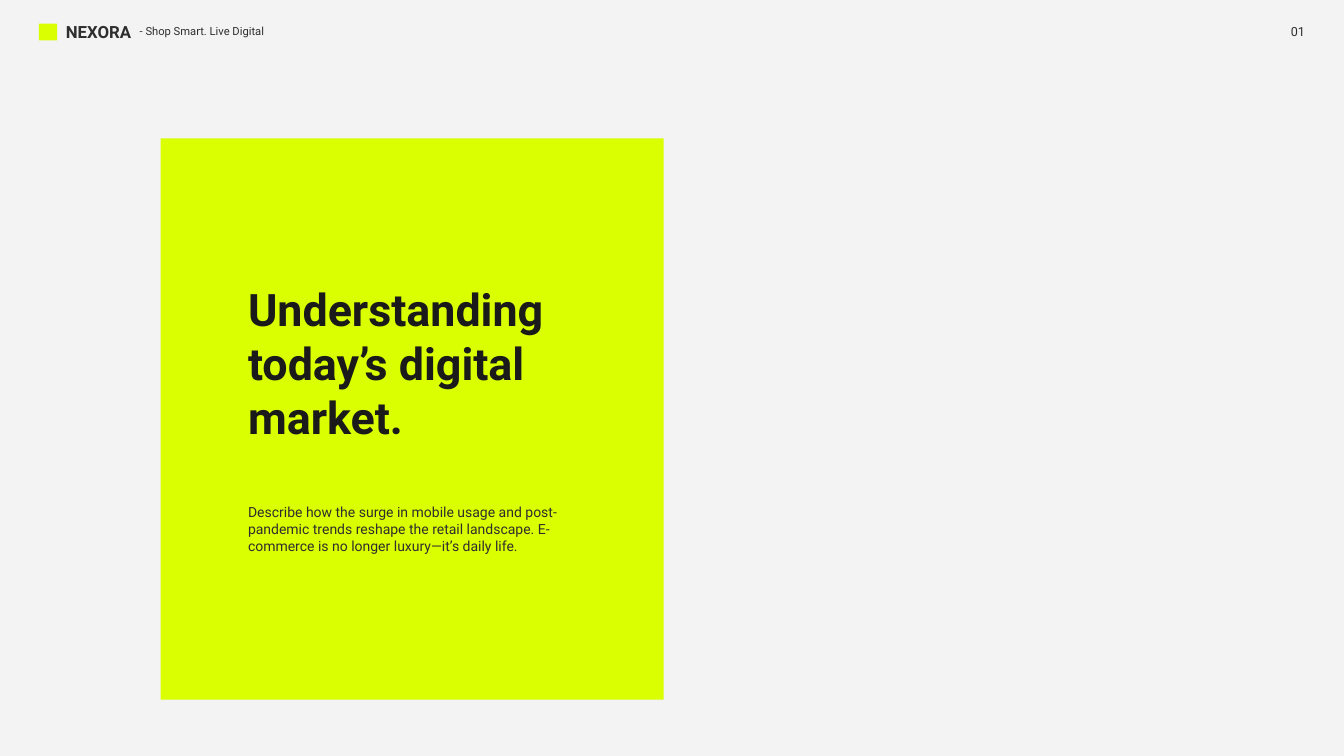
from pptx import Presentation
from pptx.dml.color import RGBColor
from pptx.enum.shapes import MSO_SHAPE
from pptx.enum.text import MSO_ANCHOR, MSO_AUTO_SIZE, PP_ALIGN
from pptx.util import Cm, Pt

RECTANGLE = MSO_SHAPE.RECTANGLE
TOP = MSO_ANCHOR.TOP
NO_AUTOFIT = MSO_AUTO_SIZE.NONE
LEFT = PP_ALIGN.LEFT

FONT = "Roboto"
COLORS = {"background": "F3F3F3", "lime": "D9FF00", "title": "1A1A1A", "text": "2E2E2E"}

# Content
TITLE = ["Understanding", "today’s digital", "market."]
DESCRIPTION = [
    "Describe how the surge in mobile usage and post-",
    "pandemic trends reshape the retail landscape. E-",
    "commerce is no longer luxury—it’s daily life.",
]

# Boxes in cm: left, top, width, height
CARD = (6.07, 5.23, 19.02, 21.22)
LOGO_MARK = (1.47, 0.89, 0.69, 0.64)
TITLE_BOX = (9.12, 10.54, 14.07, 6.4)
DESCRIPTION_BOX = (9.12, 18.92, 13.97, 2.18)

# Header texts: text, box, size, bold
HEADER = [
    ("NEXORA", (2.24, 0.69, 3.18, 1.04), 18, True),
    ("- Shop Smart. Live Digital", (5.03, 0.81, 5.49, 0.79), 12, False),
    ("01", (48.54, 0.79, 1.04, 0.86), 13.5, False),
]


def color(name):
    return RGBColor.from_string(COLORS[name])


def add_block(slide, box):
    shape = slide.shapes.add_shape(RECTANGLE, *map(Cm, box))
    shape.shadow.inherit = False
    shape.fill.solid()
    shape.fill.fore_color.rgb = color("lime")
    shape.line.fill.background()
    return shape


def write(shape, lines, size, bold=False, color_name="text", wrap=True):
    text_frame = shape.text_frame
    text_frame.text = "\n".join(lines)
    text_frame.word_wrap = wrap
    text_frame.auto_size = NO_AUTOFIT
    text_frame.vertical_anchor = TOP
    for paragraph in text_frame.paragraphs:
        paragraph.alignment = LEFT
        paragraph.space_before = Pt(0)
        for run in paragraph.runs:
            run.font.name = FONT
            run.font.size = Pt(size)
            run.font.bold = bold
            run.font.color.rgb = color(color_name)


def place(shape, box):
    shape.left, shape.top, shape.width, shape.height = map(Cm, box)


presentation = Presentation()
presentation.slide_width, presentation.slide_height = Cm(50.8), Cm(28.58)
slide = presentation.slides.add_slide(presentation.slide_layouts[0])
slide.background.fill.solid()
slide.background.fill.fore_color.rgb = color("background")

# Card, sent behind the placeholders
card = add_block(slide, CARD)
slide.shapes._spTree.insert(2, card._element)

# Header
add_block(slide, LOGO_MARK)
for text, box, size, bold in HEADER:
    text_box = slide.shapes.add_textbox(*map(Cm, box))
    write(text_box, [text], size, bold, wrap=False)

# Title and description
title, description = slide.shapes.title, slide.placeholders[1]
place(title, TITLE_BOX)
write(title, TITLE, 48, True, "title")
place(description, DESCRIPTION_BOX)
write(description, DESCRIPTION, 15)

presentation.save("out.pptx")
